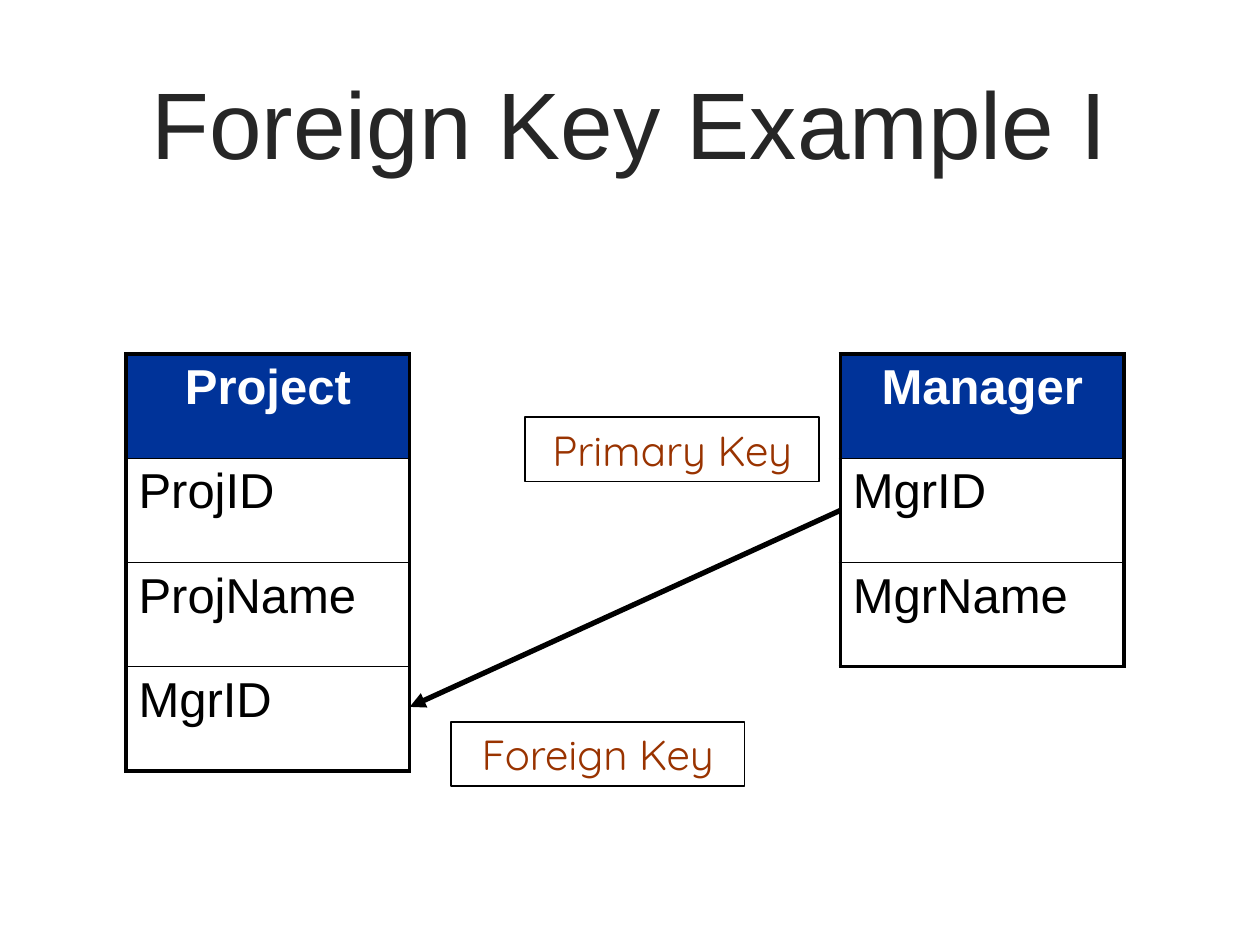
from dataclasses import dataclass

from pptx import Presentation
from pptx.dml.color import RGBColor as RGB
from pptx.enum.shapes import MSO_CONNECTOR as CONN, MSO_SHAPE as SHAPE
from pptx.enum.text import MSO_ANCHOR as ANCHOR, PP_ALIGN as ALIGN
from pptx.oxml.ns import qn
from pptx.util import Cm, Pt
from lxml.etree import SubElement


@dataclass(frozen=True)
class Theme:
    title: RGB = RGB(0x26, 0x26, 0x26)
    ink: RGB = RGB(0, 0, 0)
    header: RGB = RGB(0x00, 0x33, 0x99)
    header_text: RGB = RGB(255, 255, 255)
    label: RGB = RGB(0x99, 0x33, 0x00)
    title_size: Pt = Pt(54)
    cell_size: Pt = Pt(28)
    label_size: Pt = Pt(24)
    thin: Pt = Pt(1)
    frame: Pt = Pt(2.25)
    arrow: Pt = Pt(3)
    body_font: str = "Arial"
    label_font: str = "Quicksand"


class Deck:
    def __init__(self, theme):
        self.theme = theme
        self.prs = Presentation()
        self.prs.slide_width, self.prs.slide_height = Cm(25.4), Cm(19.05)
        self.s = self.prs.slides.add_slide(self.prs.slide_layouts[6])

    def put_text(self, tf, text, color, align=ALIGN.CENTER, **fmt):
        tf.word_wrap = True
        p = tf.paragraphs[0]
        p.alignment = align
        r = p.add_run()
        r.text = text
        r.font.color.rgb = color
        for name, value in fmt.items():
            setattr(r.font, name, value)

    def title(self, text, x, y, w, h):
        t = self.theme
        tf = self.s.shapes.add_textbox(Cm(x), Cm(y), Cm(w), Cm(h)).text_frame
        tf.vertical_anchor = ANCHOR.MIDDLE
        self.put_text(tf, text, t.title, name=t.body_font, size=t.title_size)

    def border(self, cell, widths):
        pr = cell._tc.get_or_add_tcPr()
        for side, width in widths.items():
            ln = SubElement(pr, qn(f"a:ln{side}"), w=str(int(width)))
            fill = SubElement(ln, qn("a:solidFill"))
            SubElement(fill, qn("a:srgbClr"), val=str(self.theme.ink))

    def entity(self, name, fields, x, y, w, row_h):
        t = self.theme
        rows = [name, *fields]
        tbl = self.s.shapes.add_table(
            len(rows), 1, Cm(x), Cm(y), Cm(w), Cm(row_h * len(rows))).table
        tbl.first_row = tbl.horz_banding = False
        for i, text in enumerate(rows):
            head, last = i == 0, i == len(rows) - 1
            cell = tbl.cell(i, 0)
            self.border(cell, {
                "L": t.frame,
                "R": t.frame,
                "T": t.frame if head else t.thin,
                "B": t.frame if last else t.thin,
            })
            if head:
                cell.fill.solid()
                cell.fill.fore_color.rgb = t.header
            else:
                cell.fill.background()
            self.put_text(cell.text_frame, text,
                          t.header_text if head else t.ink,
                          ALIGN.CENTER if head else ALIGN.LEFT,
                          name=t.body_font, size=t.cell_size, bold=head)

    def arrow(self, x1, y1, x2, y2):
        c = self.s.shapes.add_connector(
            CONN.STRAIGHT, Cm(x1), Cm(y1), Cm(x2), Cm(y2))
        c.line.color.rgb = self.theme.ink
        c.line.width = self.theme.arrow
        SubElement(c.line._get_or_add_ln(), qn("a:tailEnd"), type="triangle")
        SubElement(c._element.spPr, qn("a:effectLst"))

    def label(self, text, x, y, w=5.92, h=1.3):
        t = self.theme
        sp = self.s.shapes.add_shape(
            SHAPE.RECTANGLE, Cm(x), Cm(y), Cm(w), Cm(h))
        sp.shadow.inherit = False
        sp.fill.background()
        sp.line.color.rgb = t.ink
        sp.line.width = t.thin
        self.put_text(sp.text_frame, text, t.label,
                      name=t.label_font, size=t.label_size)


def main():
    deck = Deck(Theme())
    deck.title("Foreign Key Example I", 2.01, 0.86, 21.36, 3.18)

    top, width, row_h = 7.14, 5.72, 2.1
    project_x, manager_x = 2.54, 16.94
    deck.entity("Project", ["ProjID", "ProjName", "MgrID"],
                project_x, top, width, row_h)
    deck.entity("Manager", ["MgrID", "MgrName"],
                manager_x, top, width, row_h)

    deck.arrow(manager_x, top + 1.5 * row_h, project_x + width, 14.25)
    deck.label("Foreign Key", 9.09, 14.55)
    deck.label("Primary Key", 10.59, 8.41)
    deck.prs.save("out.pptx")


if __name__ == "__main__":
    main()
